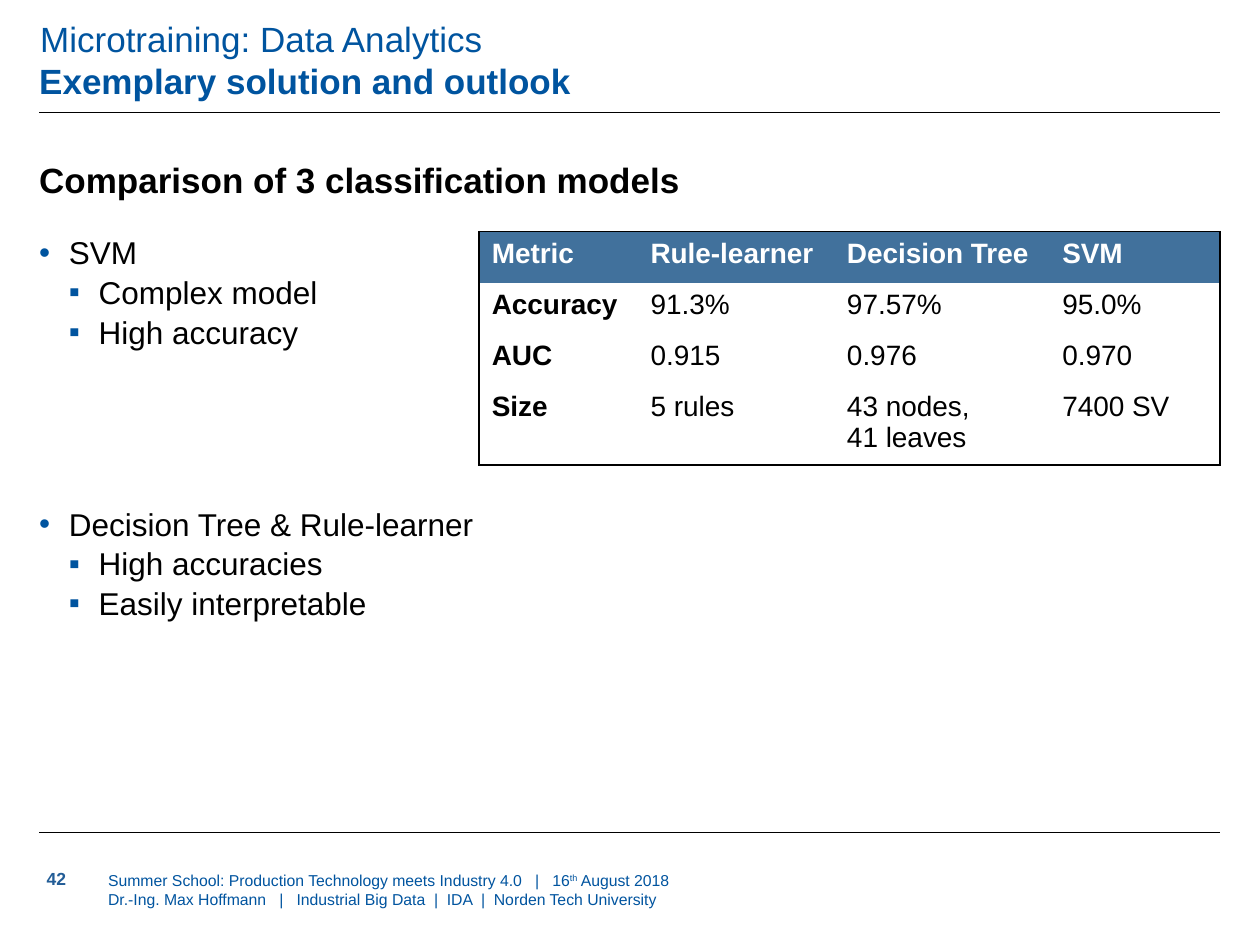
from dataclasses import dataclass
from lxml.etree import SubElement
from pptx import Presentation
from pptx.dml.color import RGBColor
from pptx.enum.text import MSO_ANCHOR, MSO_AUTO_SIZE, PP_ALIGN
from pptx.oxml import parse_xml
from pptx.oxml.ns import nsdecls, qn
from pptx.util import Cm, Pt


@dataclass(frozen=True)
class Theme:
    font: str = "Arial"
    blue: str = "00549F"
    page_blue: str = "235D97"
    header: str = "41719C"
    black: str = "000000"
    white: str = "FFFFFF"
    title: int = 20
    body: int = 18
    table: int = 16
    page: int = 10
    footer: int = 9


T = Theme()
LEFT, WIDTH = 0.79, 23.81
INDENT = 0.6

BULLETS = [
    ("SVM", ["Complex model", "High accuracy"]),
    ("Decision Tree & Rule-learner", ["High accuracies", "Easily interpretable"]),
]
METRICS = [
    ["Metric", "Rule-learner", "Decision Tree", "SVM"],
    ["Accuracy", "91.3%", "97.57%", "95.0%"],
    ["AUC", "0.915", "0.976", "0.970"],
    ["Size", "5 rules", "43 nodes,\v41 leaves", "7400 SV"],
]
COL_WIDTHS = [3.2, 3.96, 4.34, 3.43]
ROW_HEIGHTS = [1.03, 1.03, 1.03, 1.6]


def add_text(p, text, size=T.body, color=T.black, bold=False, raised=False):
    for i, line in enumerate(text.split("\v")):
        if i:
            p.add_line_break()
        r = p.add_run()
        r.text = line
        r.font.name = T.font
        r.font.size = Pt(size)
        r.font.bold = bold
        r.font.color.rgb = RGBColor.from_string(color)
        if raised:
            r.font._element.set("baseline", "30000")


def place(sp, x, y, w, h):
    sp.left, sp.top, sp.width, sp.height = Cm(x), Cm(y), Cm(w), Cm(h)


def clear_insets(tf):
    tf.margin_left = tf.margin_right = tf.margin_top = tf.margin_bottom = 0


def add_box(s, x, y, w, h, insets=False, wrap=True):
    tf = s.shapes.add_textbox(Cm(x), Cm(y), Cm(w), Cm(h)).text_frame
    tf.word_wrap = wrap
    if not insets:
        clear_insets(tf)
    return tf


def add_rule(s, y):
    line = s.shapes.add_connector(1, Cm(LEFT), Cm(y), Cm(LEFT + WIDTH), Cm(y))
    line.line.color.rgb = RGBColor.from_string(T.black)
    line.line.width = Pt(0.5)
    SubElement(line._element.spPr, qn("a:effectLst"))


def set_title(s, text):
    sp = s.shapes.title
    place(sp, LEFT, 0.56, WIDTH, 1.5)
    tf = sp.text_frame
    clear_insets(tf)
    tf.auto_size = MSO_AUTO_SIZE.NONE
    tf.vertical_anchor = MSO_ANCHOR.BOTTOM
    p = tf.paragraphs[0]
    p.alignment = PP_ALIGN.LEFT
    p.line_spacing = 0.9
    add_text(p, text, size=T.title, color=T.blue, bold=True)


def set_bullet(p, char, level):
    p.level = level
    pPr = p._p.get_or_add_pPr()
    pPr.set("marL", str(Cm(INDENT * (level + 1))))
    pPr.set("indent", str(-Cm(INDENT)))
    color = SubElement(pPr, qn("a:buClr"))
    SubElement(color, qn("a:srgbClr")).set("val", T.blue)
    SubElement(pPr, qn("a:buFont")).set("typeface", T.font)
    SubElement(pPr, qn("a:buChar")).set("char", char)


def add_bullets(s, groups):
    tf = add_box(s, LEFT, 4.67, 11.38, 11.25)
    p = tf.paragraphs[0]
    for i, (head, items) in enumerate(groups):
        for level, text in [(0, head)] + [(1, item) for item in items]:
            if i or level:
                p = tf.add_paragraph()
            p.line_spacing = 1.05
            if i and level == 0:
                p.space_before = Pt(87)
            set_bullet(p, "▪" if level else "•", level)
            add_text(p, text)


def set_borders(cell, sides):
    tcPr = cell._tc.get_or_add_tcPr()
    for i, side in enumerate("LRTB"):
        fill = "<a:noFill/>"
        if side in sides:
            fill = f'<a:solidFill><a:srgbClr val="{T.black}"/></a:solidFill>'
        xml = f'<a:ln{side} {nsdecls("a")} w="{Pt(1)}">{fill}</a:ln{side}>'
        tcPr.insert(i, parse_xml(xml))


def add_metrics(s, rows):
    n_rows, n_cols = len(rows), len(rows[0])
    frame = s.shapes.add_table(n_rows, n_cols, Cm(9.66), Cm(4.67),
                               Cm(sum(COL_WIDTHS)), Cm(sum(ROW_HEIGHTS)))
    table = frame.table
    for col, w in zip(table.columns, COL_WIDTHS):
        col.width = Cm(w)
    for i, row in enumerate(rows):
        table.rows[i].height = Cm(ROW_HEIGHTS[i])
        for j, text in enumerate(row):
            cell = table.cell(i, j)
            if i == 0:
                cell.fill.solid()
                cell.fill.fore_color.rgb = RGBColor.from_string(T.header)
            else:
                cell.fill.background()
            edges = {"L": j == 0, "R": j == n_cols - 1, "T": i == 0, "B": i == n_rows - 1}
            set_borders(cell, [side for side, outer in edges.items() if outer])
            add_text(cell.text_frame.paragraphs[0], text, size=T.table,
                     color=T.black if i else T.white, bold=i == 0 or j == 0)


def add_footer(s):
    tf = add_box(s, 0.69, 17.37, 1.24, 0.69, insets=True, wrap=False)
    add_text(tf.paragraphs[0], "42", size=T.page, color=T.page_blue, bold=True)
    tf = add_box(s, 2.18, 17.55, 12.29, 0.81)
    style = {"size": T.footer, "color": T.blue}
    p = tf.paragraphs[0]
    add_text(p, "Summer School: Production Technology meets Industry 4.0   |   16", **style)
    add_text(p, "th", raised=True, **style)
    add_text(p, " August 2018", **style)
    add_text(tf.add_paragraph(),
             "Dr.-Ing. Max Hoffmann   |   Industrial Big Data  |  IDA  |  Norden Tech University",
             **style)


def main():
    prs = Presentation()
    prs.slide_width, prs.slide_height = Cm(25.4), Cm(19.05)
    s = prs.slides.add_slide(prs.slide_layouts[5])
    for y in (2.26, 16.79):
        add_rule(s, y)
    add_footer(s)
    set_title(s, "Exemplary solution and outlook")
    p = add_box(s, LEFT, 3.2, WIDTH, 0.71).paragraphs[0]
    add_text(p, "Comparison of 3 classification models", size=T.title, bold=True)
    add_bullets(s, BULLETS)
    add_metrics(s, METRICS)
    p = add_box(s, 0.56, 0.33, 17.37, 1.02, insets=True).paragraphs[0]
    p.line_spacing = 0.9
    add_text(p, "Microtraining: Data Analytics", size=T.title, color=T.blue)
    prs.save("out.pptx")


if __name__ == "__main__":
    main()
